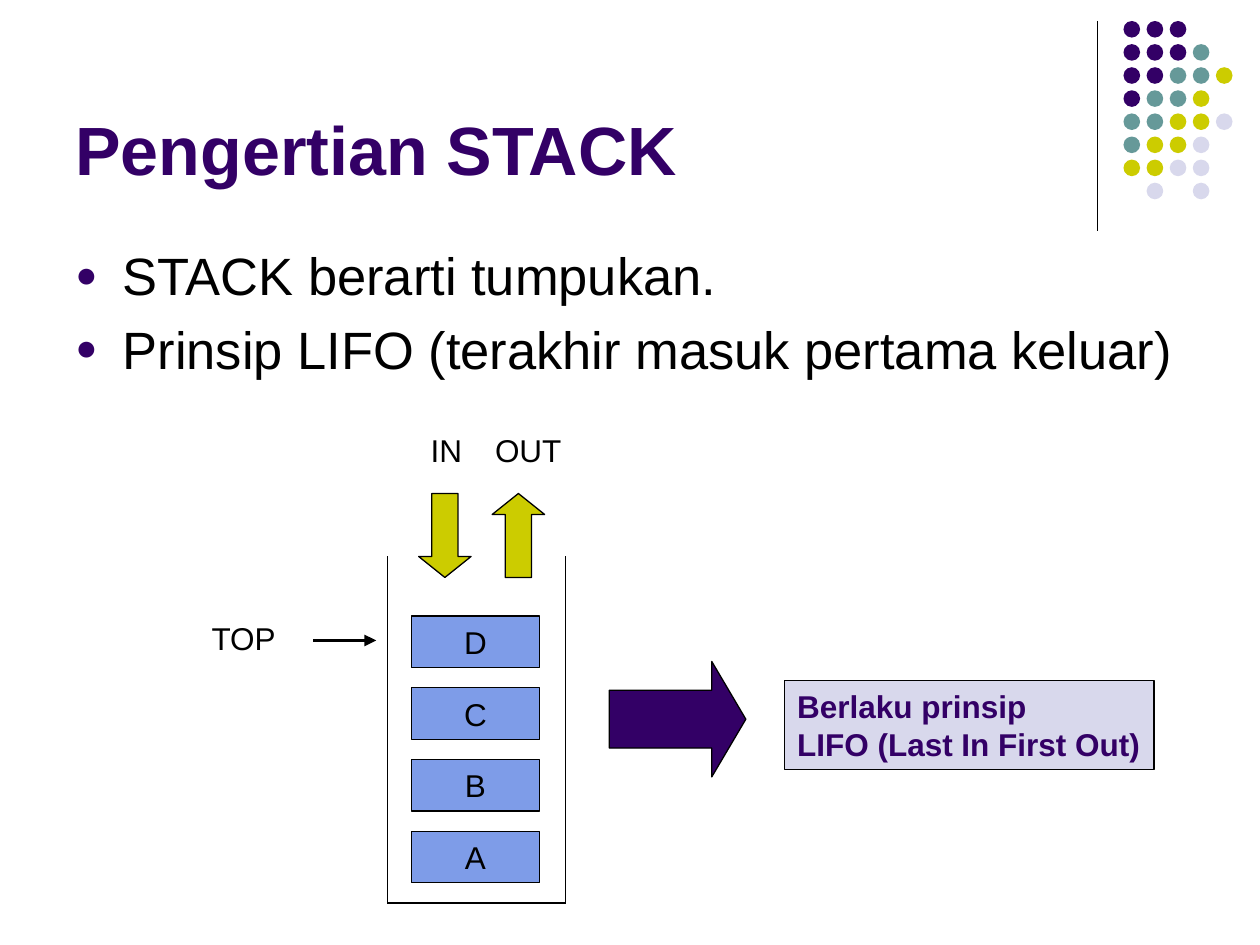
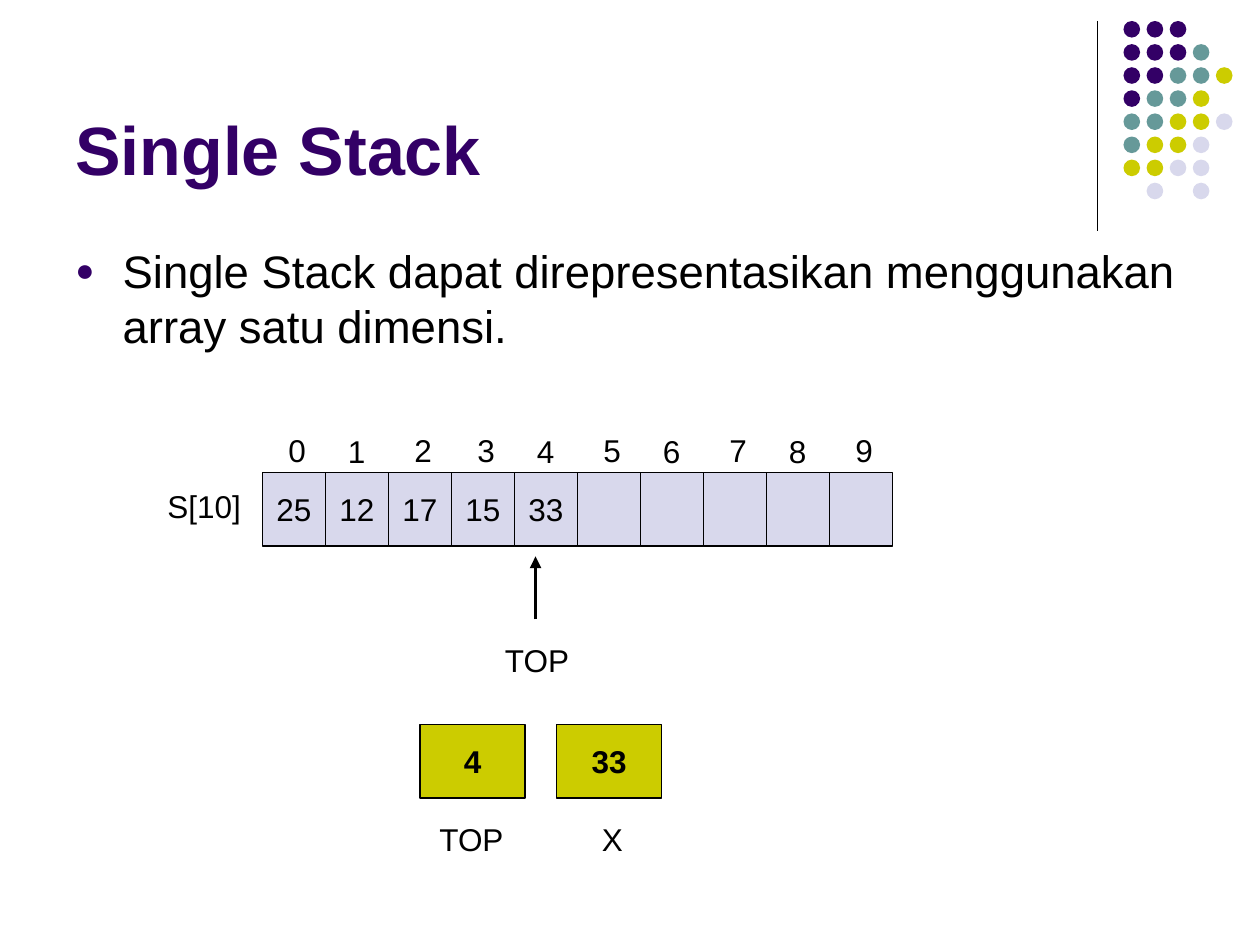
from dataclasses import dataclass

from lxml import etree
from pptx import Presentation
from pptx.dml.color import RGBColor
from pptx.enum.shapes import MSO_CONNECTOR, MSO_SHAPE
from pptx.enum.text import MSO_ANCHOR, PP_ALIGN
from pptx.oxml.ns import qn
from pptx.util import Pt

RECTANGLE = MSO_SHAPE.RECTANGLE
OVAL = MSO_SHAPE.OVAL
DOWN_ARROW = MSO_SHAPE.DOWN_ARROW
UP_ARROW = MSO_SHAPE.UP_ARROW
RIGHT_ARROW = MSO_SHAPE.RIGHT_ARROW
STRAIGHT = MSO_CONNECTOR.STRAIGHT
TOP = MSO_ANCHOR.TOP
MIDDLE = MSO_ANCHOR.MIDDLE
BOTTOM = MSO_ANCHOR.BOTTOM
LEFT = PP_ALIGN.LEFT
CENTER = PP_ALIGN.CENTER


@dataclass(frozen=True)
class Theme:
    font: str = "Arial"
    black: str = "000000"
    purple: str = "330066"
    teal: str = "669999"
    olive: str = "CCCC00"
    lavender: str = "D8D8EC"
    blue: str = "7E9CE8"
    title_size: float = 39
    body_size: float = 30
    small_body_size: float = 26
    label_size: float = 18
    thin: float = 0.75
    thick: float = 2.25


THEME = Theme()
DOT_COLORS = {"P": THEME.purple, "T": THEME.teal, "O": THEME.olive, "L": THEME.lavender}
DOT_ROWS = ("PPP", "PPPT", "PPTTO", "PTTO", "TTOOL", "TOOL", "OOLL", " L L")


class Deck:
    def __init__(self, theme):
        self.theme = theme
        self.presentation = Presentation()
        self.presentation.slide_width = Pt(720)
        self.presentation.slide_height = Pt(540)
        self.slide = None

    def start_slide(self, title):
        layout = self.presentation.slide_layouts[6]
        self.slide = self.presentation.slides.add_slide(layout)
        self.line((627, 12), (627, 132))
        for row, letters in enumerate(DOT_ROWS):
            for column, letter in enumerate(letters):
                if letter in DOT_COLORS:
                    box = (642 + 13.2 * column, 12 + 13.2 * row, 9.5, 9.5)
                    self.shape(OVAL, box, DOT_COLORS[letter], outlined=False)
        self.text((36, 9.4, 594, 102), [title], self.theme.title_size,
                  self.theme.purple, bold=True, anchor=BOTTOM, wrap=True)

    def fill_text(self, shape, lines, size, color, bold=False,
                  align=LEFT, anchor=TOP, wrap=False):
        frame = shape.text_frame
        frame.word_wrap = wrap
        frame.vertical_anchor = anchor
        for index, line in enumerate(lines):
            paragraph = frame.add_paragraph() if index else frame.paragraphs[0]
            paragraph.alignment = align
            run = paragraph.add_run()
            run.text = line
            run.font.name = self.theme.font
            run.font.size = Pt(size)
            run.font.bold = bold
            run.font.color.rgb = RGBColor.from_string(color)

    def text(self, box, lines, size, color, **options):
        shape = self.slide.shapes.add_textbox(*map(Pt, box))
        self.fill_text(shape, lines, size, color, **options)
        return shape

    def label(self, text, left, top, width, **options):
        self.text((left, top, width, 28.8), [text], self.theme.label_size,
                  self.theme.black, **options)

    def bullets(self, lines, size):
        shape = self.text((36, 135.4, 648, 347), lines, size, self.theme.black, wrap=True)
        for paragraph in shape.text_frame.paragraphs:
            properties = paragraph._p.get_or_add_pPr()
            properties.set("marL", str(Pt(27)))
            properties.set("indent", str(Pt(-27)))
            spacing = etree.SubElement(properties, qn("a:spcBef"))
            etree.SubElement(spacing, qn("a:spcPct"), val="20000")
            color = etree.SubElement(properties, qn("a:buClr"))
            etree.SubElement(color, qn("a:srgbClr"), val=self.theme.purple)
            etree.SubElement(properties, qn("a:buSzPct"), val="70000")
            etree.SubElement(properties, qn("a:buFont"), typeface=self.theme.font)
            etree.SubElement(properties, qn("a:buChar"), char="●")

    def shape(self, kind, box, fill, outlined=True, adjustments=()):
        shape = self.slide.shapes.add_shape(kind, *map(Pt, box))
        shape.shadow.inherit = False
        shape.fill.solid()
        shape.fill.fore_color.rgb = RGBColor.from_string(fill)
        if outlined:
            shape.line.color.rgb = RGBColor.from_string(self.theme.black)
            shape.line.width = Pt(self.theme.thin)
        else:
            shape.line.fill.background()
        for index, value in enumerate(adjustments):
            shape.adjustments[index] = value
        return shape

    def box(self, box, fill, lines=(), color=None, bold=False, align=CENTER):
        shape = self.shape(RECTANGLE, box, fill)
        self.fill_text(shape, lines, self.theme.label_size, color or self.theme.black,
                       bold=bold, align=align, anchor=MIDDLE)

    def line(self, start, end, arrow=False):
        connector = self.slide.shapes.add_connector(STRAIGHT, *map(Pt, start + end))
        connector.line.color.rgb = RGBColor.from_string(self.theme.black)
        connector.line.width = Pt(self.theme.thick if arrow else self.theme.thin)
        properties = connector._element.spPr
        if arrow:
            etree.SubElement(properties.find(qn("a:ln")), qn("a:tailEnd"), type="triangle")
        etree.SubElement(properties, qn("a:effectLst"))


def build_definition(deck):
    theme = deck.theme
    deck.start_slide("Pengertian STACK")
    deck.bullets(["STACK berarti tumpukan.",
                  "Prinsip LIFO (terakhir masuk pertama keluar)"], theme.body_size)

    left, right, rim, floor = 221.25, 323.25, 318, 516
    deck.line((left, rim), (left, floor))
    deck.line((left, floor), (right, floor))
    deck.line((right, rim), (right, floor))
    for index, item in enumerate("DCBA"):
        deck.box((235, 352 + 41 * index, 73.4, 29.5), theme.blue, [item])

    deck.line((179, 366), (215, 366), arrow=True)
    deck.label("TOP", 113.8, 350, 52)
    deck.shape(DOWN_ARROW, (239.25, 282, 30, 48), theme.olive, adjustments=(0.5, 0.4))
    deck.shape(UP_ARROW, (281.25, 282, 30, 48), theme.olive, adjustments=(0.5, 0.4))
    deck.label("IN", 239, 242.6, 32.4)
    deck.label("OUT", 275.8, 242.6, 52.6)

    deck.shape(RIGHT_ARROW, (348.2, 378, 78, 66), theme.purple, adjustments=(0.5, 0.295))
    deck.box((448.5, 388.8, 211, 51.1), theme.lavender,
             ["Berlaku prinsip", "LIFO (Last In First Out)"],
             theme.purple, bold=True, align=LEFT)


def build_single_stack(deck):
    theme = deck.theme
    deck.start_slide("Single Stack")
    deck.bullets(["Single Stack dapat direpresentasikan menggunakan array satu dimensi."],
                 theme.small_body_size)

    values = ("25", "12", "17", "15", "33")
    centered_indexes = (1, 4, 6, 8)
    for index in range(10):
        left = 150 + 36 * index
        deck.box((left, 270, 36, 42), theme.lavender, values[index:index + 1])
        inset, top = (5.75, 243.2) if index in centered_indexes else (7.75, 242.6)
        deck.label(str(index), left + inset, top, 24.5)

    deck.label("S[10]", 88.6, 275, 56.2)
    deck.line((306, 354), (306, 318), arrow=True)
    deck.label("TOP", 281.5, 363, 52)

    for left, value in ((240, "4"), (318, "33")):
        deck.box((left, 414, 60, 42), theme.olive, [value], bold=True)
    deck.label("TOP", 244, 465, 52)
    deck.label("X", 321.8, 465, 56.2, align=CENTER, wrap=True)


def main():
    deck = Deck(THEME)
    build_definition(deck)
    build_single_stack(deck)
    deck.presentation.save("out.pptx")


main()
